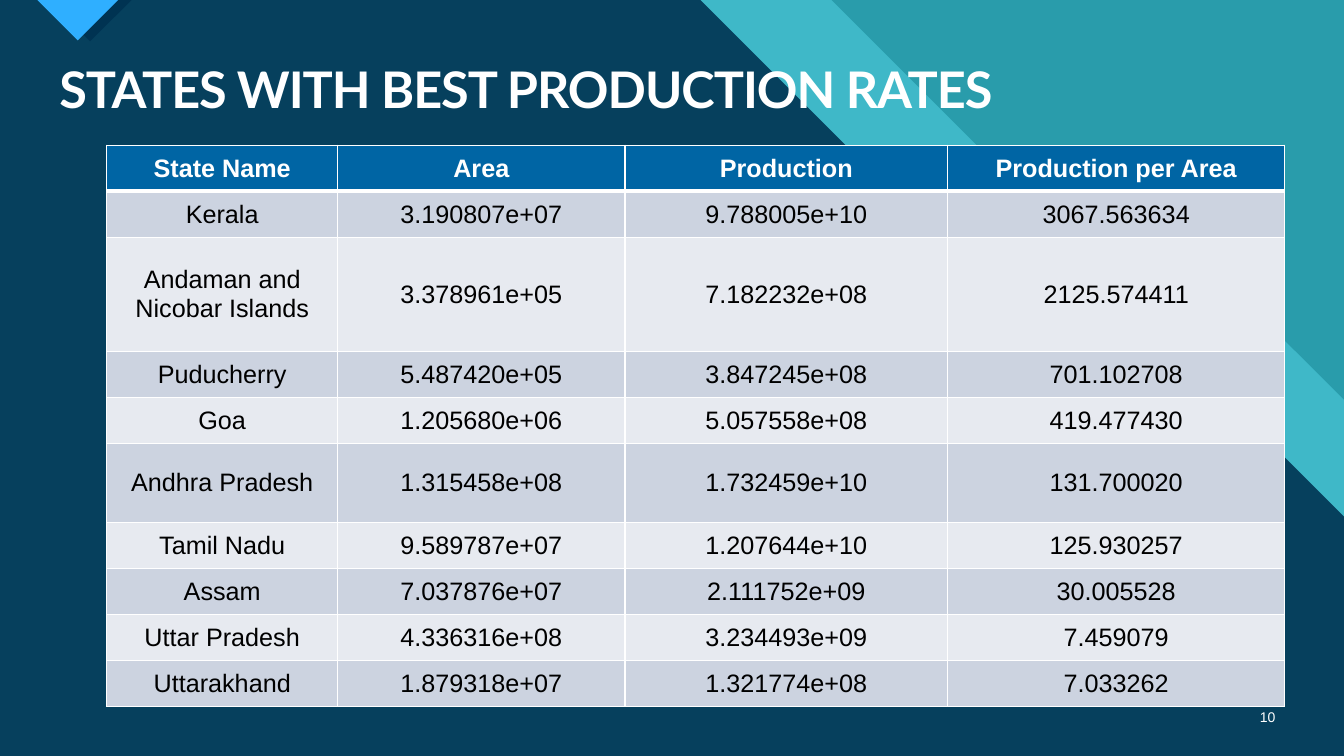
from lxml import etree
from pptx import Presentation
from pptx import util as u
from pptx.dml import color
from pptx.enum import text
from pptx.oxml import ns

WHITE, NAVY, TEAL, AQUA = "FFFFFF", "003352", "299CAB", "47C3D3"
HEADER_BLUE, BANDS = "0065A4", ("CCD3E0", "E7EAF0")
WIDTH, HEIGHT = 33.87, 19.05

HEADINGS = ("State Name", "Area", "Production", "Production per Area")
STATES = (
    ("Kerala", "3.190807e+07", "9.788005e+10", "3067.563634"),
    ("Andaman and Nicobar Islands", "3.378961e+05", "7.182232e+08", "2125.574411"),
    ("Puducherry", "5.487420e+05", "3.847245e+08", "701.102708"),
    ("Goa", "1.205680e+06", "5.057558e+08", "419.477430"),
    ("Andhra Pradesh", "1.315458e+08", "1.732459e+10", "131.700020"),
    ("Tamil Nadu", "9.589787e+07", "1.207644e+10", "125.930257"),
    ("Assam", "7.037876e+07", "2.111752e+09", "30.005528"),
    ("Uttar Pradesh", "4.336316e+08", "3.234493e+09", "7.459079"),
    ("Uttarakhand", "1.879318e+07", "1.321774e+08", "7.033262"),
)
COLUMN_WIDTHS = (5.82, 7.24, 8.13, 8.5)
ROW_HEIGHT = 1.16
TALL_ROWS = {2: 2.87, 5: 2.0}


def paint(fill, hex_colour, opacity=100):
    fill.solid()
    fill.fore_color.rgb = color.RGBColor.from_string(hex_colour)
    if opacity < 100:
        swatch = fill._xPr.find(".//" + ns.qn("a:srgbClr"))
        etree.SubElement(swatch, ns.qn("a:alpha"), val=str(opacity * 1000))


def style(paragraph, size, hex_colour, align, font="Arial", bold=False):
    paragraph.alignment = align
    for run in paragraph.runs:
        run.font.name = font
        run.font.size = u.Pt(size)
        run.font.bold = bold
        paint(run.font.fill, hex_colour)


def add_outline(slide, points, hex_colour, opacity=100):
    corners = [(u.Cm(x), u.Cm(y)) for x, y in points]
    builder = slide.shapes.build_freeform(*corners[0])
    builder.add_line_segments(corners[1:], close=True)
    outline = builder.convert_to_shape()
    outline.shadow.inherit = False
    outline.line.fill.background()
    paint(outline.fill, hex_colour, opacity)


def add_stepped_panel(slide, box, top_edge, step_end, hex_colour, opacity):
    left, top, width, height = box
    right, bottom, drop = left + width, top + height, 7.55
    add_outline(slide, [
        (left, top), (left + top_edge, top),
        (left + top_edge + drop, top + drop), (left + step_end, top + drop),
        (right, top + drop + width - step_end), (right, bottom), (left, bottom),
    ], hex_colour, opacity)


def add_pointer(slide, box, hex_colour):
    left, top, width, height = box
    add_outline(slide, [(left, top), (left + width, top),
                        (left + width / 2, top + height)], hex_colour)


def add_backdrop(slide, box):
    left, top = box[:2]
    paint(slide.background.fill, TEAL)
    add_stepped_panel(slide, box, 20.95, 31.34, AQUA, 74)
    add_stepped_panel(slide, box, 17.65, 28.4, NAVY, 90)
    add_pointer(slide, (left + 1.22, top, 2.1, 1.04), NAVY)
    add_pointer(slide, (left + 0.94, top, 2.04, 1.02), "2FAFFF")


def place_title(slide, box):
    title = slide.shapes.title
    slide.shapes._spTree.append(title._element)
    title.left, title.top, title.width, title.height = map(u.Cm, box)
    frame = title.text_frame
    frame.text = "STATES WITH BEST PRODUCTION RATES"
    frame.word_wrap = True
    frame.auto_size = text.MSO_AUTO_SIZE.SHAPE_TO_FIT_TEXT
    frame.vertical_anchor = text.MSO_ANCHOR.TOP
    heading = frame.paragraphs[0]
    heading.line_spacing = 0.9
    style(heading, 36, WHITE, text.PP_ALIGN.LEFT, "Lato", True)
    heading.runs[0].font._element.set("spc", "-70")


def add_page_number(slide, box):
    frame = slide.shapes.add_textbox(*map(u.Cm, box)).text_frame
    frame.text = "10"
    frame.word_wrap = True
    frame.vertical_anchor = text.MSO_ANCHOR.MIDDLE
    style(frame.paragraphs[0], 10, WHITE, text.PP_ALIGN.RIGHT)


def add_borders(cell, top_width, bottom_width):
    properties = cell._tc.get_or_add_tcPr()
    for side, points in zip("LRTB", (1, 1, top_width, bottom_width)):
        border = etree.SubElement(properties, ns.qn("a:ln" + side), w=str(u.Pt(points)))
        solid = etree.SubElement(border, ns.qn("a:solidFill"))
        etree.SubElement(solid, ns.qn("a:srgbClr"), val=WHITE)


def add_states_table(slide, box):
    rows = (HEADINGS,) + STATES
    table = slide.shapes.add_table(len(rows), len(HEADINGS), *map(u.Cm, box)).table
    for column, width in zip(table.columns, COLUMN_WIDTHS):
        column.width = u.Cm(width)
    for r, values in enumerate(rows):
        table.rows[r].height = u.Cm(TALL_ROWS.get(r, ROW_HEIGHT))
        is_header = r == 0
        for c, value in enumerate(values):
            cell = table.cell(r, c)
            cell.text_frame.text = value
            cell.vertical_anchor = text.MSO_ANCHOR.MIDDLE
            add_borders(cell, 3 if r == 1 else 1, 3 if is_header else 1)
            paint(cell.fill, HEADER_BLUE if is_header else BANDS[(r - 1) % 2])
            style(cell.text_frame.paragraphs[0], 18, WHITE if is_header else "000000",
                  text.PP_ALIGN.CENTER, bold=is_header)


def main():
    deck = Presentation()
    deck.slide_width, deck.slide_height = u.Cm(WIDTH), u.Cm(HEIGHT)
    slide = deck.slides.add_slide(deck.slide_layouts.get_by_name("Title Only"))
    add_backdrop(slide, (0, 0, WIDTH, HEIGHT))
    place_title(slide, (1.24, 1.5, 31.14, 1.65))
    add_page_number(slide, (31.27, 17.55, 1.12, 1.02))
    add_states_table(slide, (2.69, 3.66, sum(COLUMN_WIDTHS), 14.15))
    deck.save("out.pptx")


if __name__ == "__main__":
    main()
